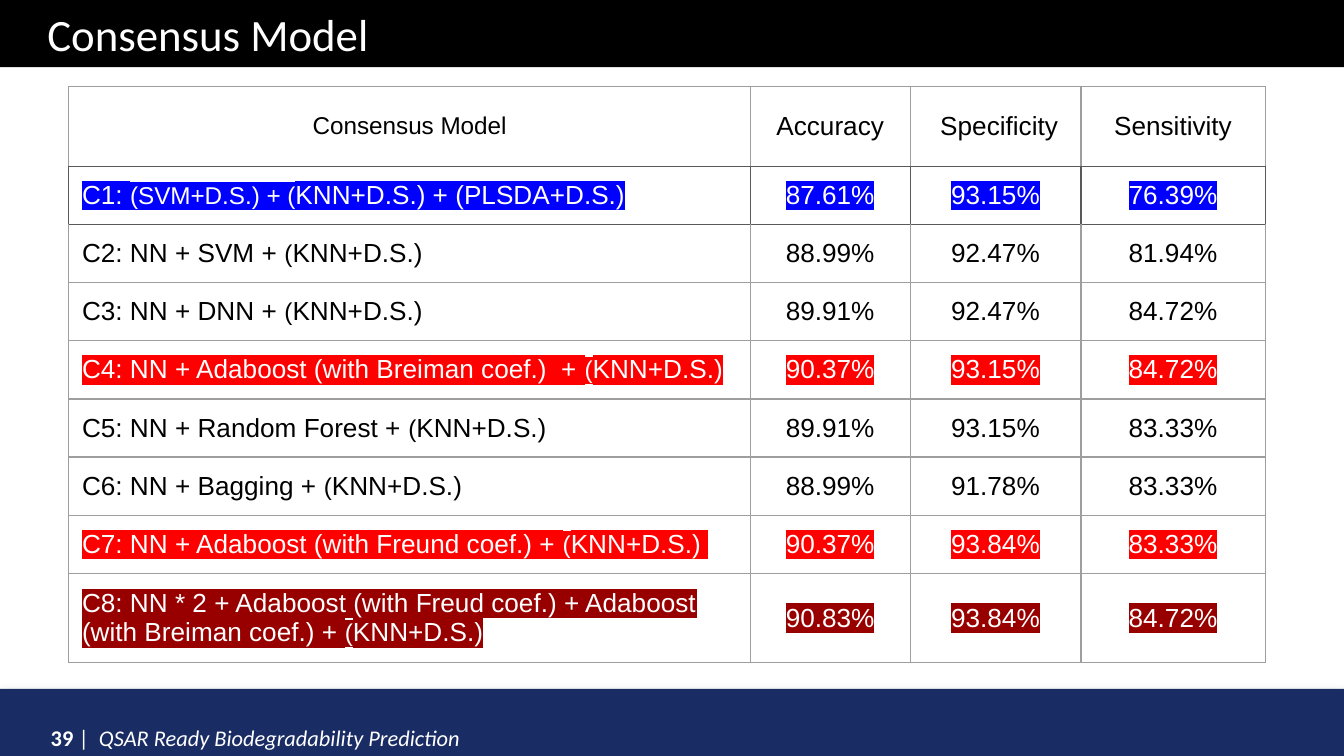
"""Build the consensus model results slide."""
from dataclasses import dataclass
from typing import Any

from lxml import etree
from pptx import Presentation
from pptx import util as u
from pptx.dml.color import RGBColor
from pptx.enum import shapes, text
from pptx.oxml import ns


@dataclass(frozen=True)
class Theme:
    """Colours, fonts and type sizes."""
    black: str = "000000"
    white: str = "FFFFFF"
    navy: str = "1A2C64"
    blue: str = "0000FF"
    red: str = "FF0000"
    wine: str = "980000"
    grey: str = "9E9E9E"
    dark: str = "595959"
    shade: str = "808080"
    head: str = "Calibri"
    body: str = "Arial"
    title: float = 24
    cell: float = 14
    small: float = 13
    foot: float = 12


T = Theme()


@dataclass(frozen=True)
class Model:
    """One consensus model with its scores and highlight."""
    name: str
    scores: tuple[str, str, str]
    mark: str = ""
    small: str = "("
    tail: str = "KNN+D.S.)"


HEADS = ("Consensus Model", "Accuracy", " Specificity", "Sensitivity")
MODELS = (
    Model("C1: ", ("87.61%", "93.15%", "76.39%"), T.blue,
          "(SVM+D.S.) + (", "KNN+D.S.) + (PLSDA+D.S.)"),
    Model("C2: NN + SVM + ", ("88.99%", "92.47%", "81.94%")),
    Model("C3: NN + DNN + ", ("89.91%", "92.47%", "84.72%")),
    Model("C4: NN + Adaboost (with Breiman coef.)  + ",
          ("90.37%", "93.15%", "84.72%"), T.red),
    Model("C5: NN + Random Forest + ", ("89.91%", "93.15%", "83.33%")),
    Model("C6: NN + Bagging + ", ("88.99%", "91.78%", "83.33%")),
    Model("C7: NN + Adaboost (with Freund coef.) + ",
          ("90.37%", "93.84%", "83.33%"), T.red, tail="KNN+D.S.) "),
    Model("C8: NN * 2 + Adaboost (with Freud coef.) + Adaboost "
          "(with Breiman coef.) + ", ("90.83%", "93.84%", "84.72%"), T.wine),
)
COLS = (12.88, 3.02, 3.23, 3.48)
ROWS = (1.51, *[1.1] * 7, 1.68)


def node(root: Any, tag: str, **attrs: Any) -> Any:
    """Append a drawing element to a parent."""
    return etree.SubElement(root, ns.qn(f"a:{tag}"),
                            {k: str(v) for k, v in attrs.items()})


def put(para: Any, words: str, *, size: float = T.cell, ink: str = T.black,
        face: str = T.body, bold: bool = False, slant: bool = False,
        mark: str = "") -> None:
    """Add a formatted run to a paragraph."""
    run = para.add_run()
    run.text = words
    font = run.font
    font.size, font.name = u.Pt(size), face
    font.bold, font.italic = bold, slant
    font.color.rgb = RGBColor.from_string(ink)
    if mark:
        props = run.font._element
        light = node(props, "highlight")
        node(light, "srgbClr", val=mark)
        props.find(ns.qn("a:solidFill")).addnext(light)


def band(slide: Any, top: float, tint: str) -> Any:
    """Draw a full-width coloured band."""
    bar = slide.shapes.add_shape(shapes.MSO_SHAPE.RECTANGLE, 0, u.Cm(top),
                                 u.Cm(25.4), u.Cm(1.27))
    bar.shadow.inherit = False
    bar.fill.solid()
    bar.fill.fore_color.rgb = RGBColor.from_string(tint)
    bar.line.fill.background()
    return bar


def shade(bar: Any) -> None:
    """Give a band a soft shadow below."""
    glow = node(bar.element.spPr.find(ns.qn("a:effectLst")), "outerShdw",
                blurRad=u.Pt(5), dist=u.Pt(1.8), dir=90 * 60000,
                rotWithShape=0)
    tint = node(glow, "srgbClr", val=T.shade)
    node(tint, "alpha", val=35000)


def edge(cell: Any, row: int) -> None:
    """Draw the four cell borders, darker around the first model."""
    props = cell._tc.get_or_add_tcPr()
    tints = {"L": row == 1, "R": row == 1,
             "T": row in (1, 2), "B": row in (0, 1)}
    for spot, (side, deep) in enumerate(tints.items()):
        line = node(props, f"ln{side}", w=u.Pt(0.75))
        fill = node(line, "solidFill")
        node(fill, "srgbClr", val=T.dark if deep else T.grey)
        props.insert(spot, line)


def ready(cell: Any, row: int, col: int) -> Any:
    """Format a cell and return its paragraph."""
    cell.fill.background()
    edge(cell, row)
    cell.vertical_anchor = text.MSO_ANCHOR.MIDDLE
    cell.margin_left = cell.margin_right = u.Cm(0.25)
    cell.margin_top = cell.margin_bottom = u.Cm(0.25)
    para = cell.text_frame.paragraphs[0]
    if row == 0 or col > 0:
        para.alignment = text.PP_ALIGN.CENTER
    return para


def grid(slide: Any) -> None:
    """Draw the table of models."""
    table = slide.shapes.add_table(len(ROWS), len(COLS), u.Cm(1.3), u.Cm(1.63),
                                   u.Cm(sum(COLS)), u.Cm(sum(ROWS))).table
    table.first_row = table.horz_banding = False
    for col, wide in zip(table.columns, COLS):
        col.width = u.Cm(wide)
    for row, tall in zip(table.rows, ROWS):
        row.height = u.Cm(tall)
    for col, name in enumerate(HEADS):
        put(ready(table.cell(0, col), 0, col), name,
            size=T.cell if col else T.small)
    for row, model in enumerate(MODELS, 1):
        look = {"ink": T.white if model.mark else T.black, "mark": model.mark}
        para = ready(table.cell(row, 0), row, 0)
        put(para, model.name, **look)
        put(para, model.small, size=T.small, **look)
        put(para, model.tail, **look)
        for col, score in enumerate(model.scores, 1):
            put(ready(table.cell(row, col), row, col), score, **look)


def main() -> None:
    """Build and save the slide."""
    deck = Presentation()
    deck.slide_width, deck.slide_height = u.Cm(25.4), u.Cm(14.29)
    slide = deck.slides.add_slide(deck.slide_layouts[5])
    look = {"ink": T.white, "face": T.head}

    title = slide.shapes.title
    title.left, title.top = u.Cm(0.64), u.Cm(0)
    title.width, title.height = u.Cm(7.01), u.Cm(1.27)
    frame = title.text_frame
    frame.auto_size = text.MSO_AUTO_SIZE.NONE
    frame.vertical_anchor = text.MSO_ANCHOR.MIDDLE
    frame.paragraphs[0].alignment = text.PP_ALIGN.LEFT
    put(frame.paragraphs[0], "Consensus Model", size=T.title, **look)
    band(slide, 0, T.black).element.addnext(title.element)

    shade(band(slide, 13.02, T.navy))
    foot = slide.shapes.add_textbox(u.Cm(0.71), u.Cm(13.06),
                                    u.Cm(18.85), u.Cm(0.76)).text_frame
    foot.word_wrap = True
    para = foot.paragraphs[0]
    para.line_spacing = 2.0
    put(para, "39 ", size=T.foot, bold=True, **look)
    put(para, "|  ", size=T.foot, **look)
    put(para, "QSAR Ready Biodegradability Prediction", size=T.foot,
        slant=True, **look)

    grid(slide)
    deck.save("out.pptx")


if __name__ == "__main__":
    main()
